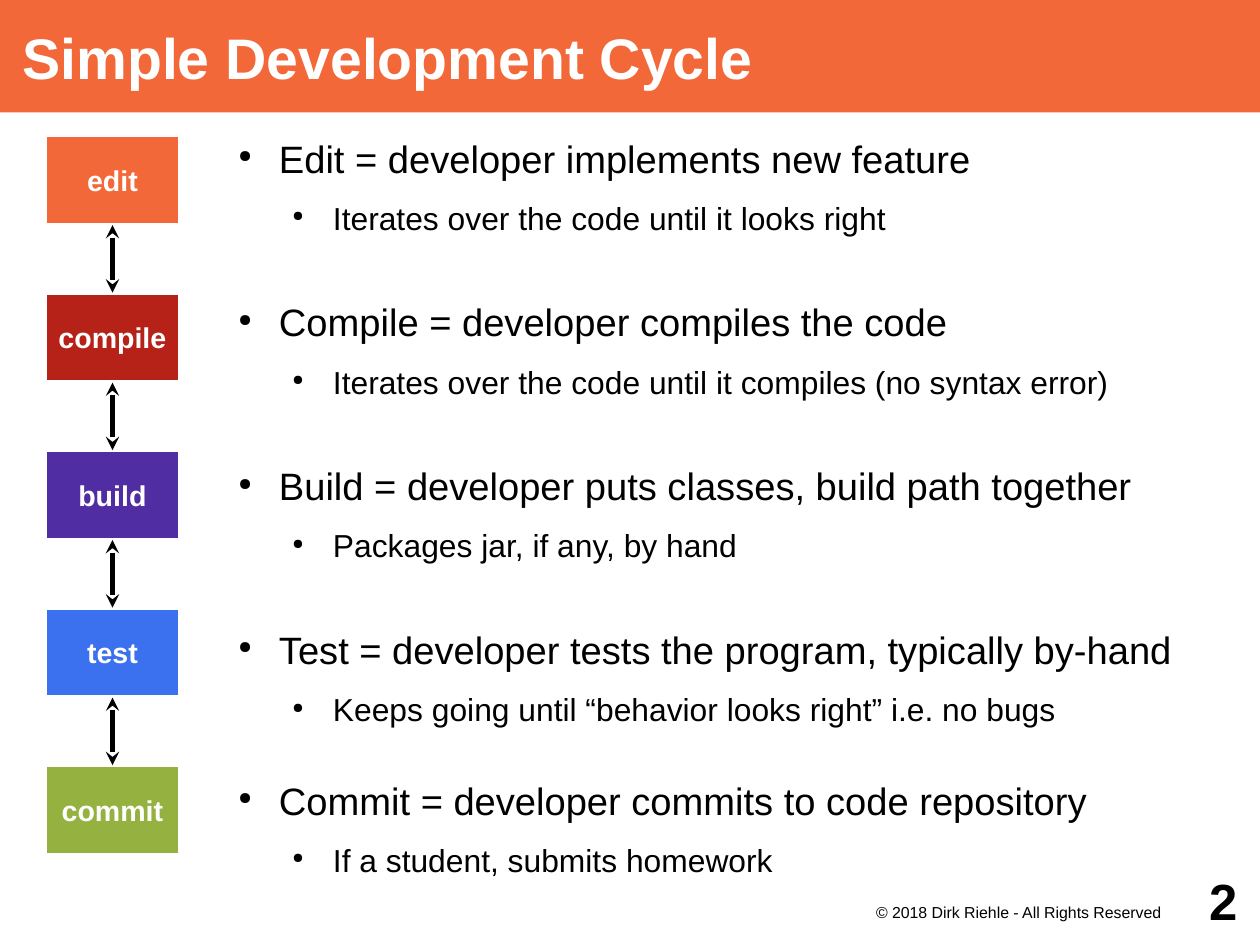
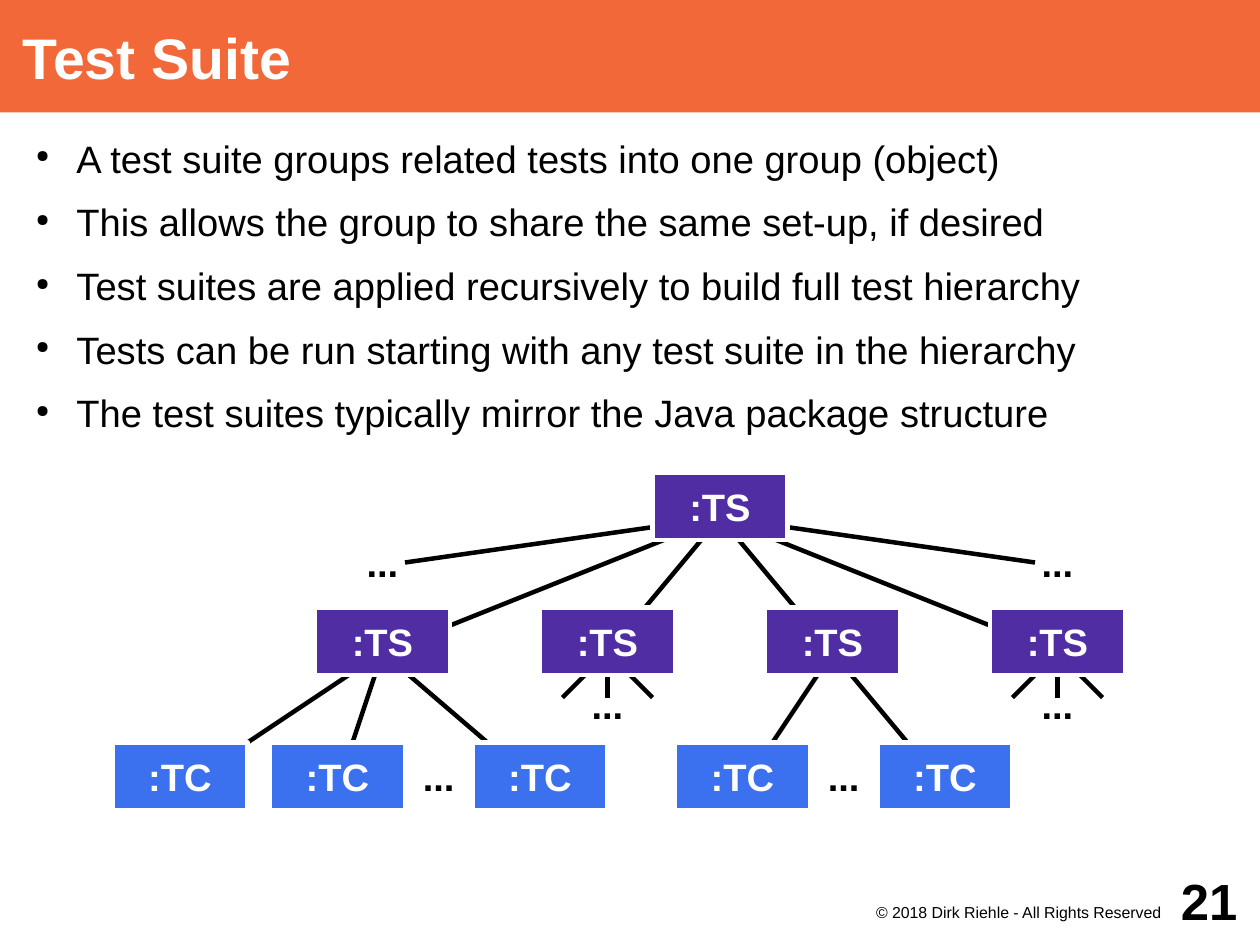
from pptx import Presentation
from pptx.dml.color import RGBColor
from pptx.enum.shapes import MSO_CONNECTOR, MSO_SHAPE
from pptx.enum.text import MSO_ANCHOR, PP_ALIGN
from pptx.oxml.ns import qn
from pptx.util import Cm, Pt
from lxml import etree

RECT = MSO_SHAPE.RECTANGLE
LINE = MSO_CONNECTOR.STRAIGHT
LEFT, MID, RIGHT = PP_ALIGN.LEFT, PP_ALIGN.CENTER, PP_ALIGN.RIGHT
TOP, CENTER = MSO_ANCHOR.TOP, MSO_ANCHOR.MIDDLE

COLS, ROWS, CELL = 56, 42, 0.5
FONT = "Arial"
ORANGE, RED, PURPLE = "F36838", "B62118", "502DA2"
BLUE, GREEN, BLACK, WHITE = "3B70EE", "95B241", "000000", "FFFFFF"
STROKE = Pt(2.83)
SIZES = (24, 20)
INDENTS = (1.2, 2.4)
HANG = 0.9
AFTER = 11.3


def grid(*cells):
    return [Cm(cell * CELL) for cell in cells]


def paint(part, color):
    part.solid()
    part.fore_color.rgb = RGBColor.from_string(color)


def style(para, text, size=24, color=BLACK, bold=False, align=LEFT):
    para.alignment = align
    run = para.add_run()
    run.text = text
    run.font.name = FONT
    run.font.size = Pt(size)
    run.font.bold = bold
    paint(run.font.fill, color)


def frame(shape, pad=(0, 0, 0, 0), anchor=TOP, wrap=True):
    body = shape.text_frame
    body.word_wrap = wrap
    body.vertical_anchor = anchor
    body.margin_left, body.margin_top, body.margin_right, body.margin_bottom = map(Cm, pad)
    return body


def label(slide, box, text, pad=(0.2,) * 4, anchor=CENTER, **look):
    shape = slide.shapes.add_textbox(*grid(*box))
    style(frame(shape, pad, anchor).paragraphs[0], text, **look)


def block(slide, box, text, fill, pad=(0.2,) * 4, edge=True, wrap=True, **look):
    shape = slide.shapes.add_shape(RECT, *grid(*box))
    shape.shadow.inherit = False
    paint(shape.fill, fill)
    if edge:
        paint(shape.line.fill, WHITE)
        shape.line.width = STROKE
    else:
        shape.line.fill.background()
    style(frame(shape, pad, CENTER, wrap).paragraphs[0], text, color=WHITE, bold=True, **look)


def link(slide, start, end, arrows=False):
    line = slide.shapes.add_connector(LINE, *grid(*start, *end))
    paint(line.line.fill, BLACK)
    line.line.width = STROKE
    if arrows:
        stroke = line.line._get_or_add_ln()
        for tip in ("a:headEnd", "a:tailEnd"):
            etree.SubElement(stroke, qn(tip), type="stealth")
    etree.SubElement(line._element.spPr, qn("a:effectLst"))


def bullets(slide, box, items):
    body = frame(slide.shapes.add_textbox(*grid(*box)))
    for index, (level, before, text) in enumerate(items):
        para = body.add_paragraph() if index else body.paragraphs[0]
        style(para, text, size=SIZES[level])
        para.line_spacing = Pt(SIZES[level] * 1.2)
        para.space_before = Pt(before)
        para.space_after = Pt(AFTER)
        props = para._p.get_or_add_pPr()
        props.set("marL", str(Cm(INDENTS[level])))
        props.set("indent", str(-Cm(HANG)))
        tint = etree.SubElement(props, qn("a:buClr"))
        etree.SubElement(tint, qn("a:srgbClr"), val=BLACK)
        etree.SubElement(props, qn("a:buSzPct"), val="45000")
        etree.SubElement(props, qn("a:buChar"), char="●")


def page(deck, title, number):
    slide = deck.slides.add_slide(deck.slide_layouts[6])
    block(slide, (0, 0, COLS, 5), title, ORANGE, pad=(0.5, 0, 0, 0), edge=False, size=36, align=LEFT)
    label(slide, (36, 40, 16, 2), "© 2018 Dirk Riehle - All Rights Reserved",
          pad=(0, 0.05, 0.2, 0), anchor=TOP, size=10, align=RIGHT)
    label(slide, (51, 38, 5, 4), number, pad=(0, 0, 0.5, 0), size=32, bold=True, align=RIGHT)
    return slide


def chain(slide, left, top, steps, wide=6, high=4, pitch=7):
    for index, (name, fill) in enumerate(steps):
        row = top + index * pitch
        block(slide, (left, row, wide, high), name, fill, wrap=False, size=18, align=MID)
        if index:
            link(slide, (left + wide / 2, row - pitch + high), (left + wide / 2, row), arrows=True)


def tree(slide, left, top, wide=6, high=3):
    def hub(col, row):
        return left + col + wide / 2, top + row + 2

    root = (24, 0)
    suites = [(9 + 10 * index, 6) for index in range(4)]
    cases = {0: (0, 7, 16), 2: (25, 34)}
    leaves = [(col, 12) for group in cases.values() for col in group]
    dots = [(13, 12, 3, 3), (31, 12, 3, 3)]

    x, y = hub(*root)
    for side in (-1, 1):
        link(slide, (x, y), (x + side * 14, y + 2))
        dots.append((x + side * 15 - 2 - left, 2, 4, 4))
    for index, suite in enumerate(suites):
        base = hub(*suite)
        link(slide, (x, y), base)
        for col in cases.get(index, ()):
            link(slide, base, hub(col, 12))
        if index not in cases:
            for shift in (-2, 0, 2):
                link(slide, base, (base[0] + shift, base[1] + 2))
            dots.append((base[0] - 2 - left, 8.6, 4, 3.4))

    for col, row, *size in dots:
        label(slide, (left + col, top + row, *size), "...", bold=True, align=MID)
    for text, fill, places in ((":TS", PURPLE, [root, *suites]), (":TC", BLUE, leaves)):
        for col, row in places:
            block(slide, (left + col, top + row, wide, high), text, fill,
                  pad=(0.25, 0.13, 0.25, 0.13), align=MID)


def cycle(deck):
    slide = page(deck, "Simple Development Cycle", "2")
    topics = [
        (0, "Edit = developer implements new feature",
         "Iterates over the code until it looks right"),
        (27.7, "Compile = developer compiles the code",
         "Iterates over the code until it compiles (no syntax error)"),
        (27.7, "Build = developer puts classes, build path together",
         "Packages jar, if any, by hand"),
        (27.7, "Test = developer tests the program, typically by-hand",
         "Keeps going until “behavior looks right” i.e. no bugs"),
        (19.6, "Commit = developer commits to code repository",
         "If a student, submits homework"),
    ]
    items = []
    for gap, head, detail in topics:
        items += [(0, gap, head), (1, 0, detail)]
    bullets(slide, (10, 6, 45, 35), items)
    chain(slide, 2, 6, [("edit", ORANGE), ("compile", RED), ("build", PURPLE),
                        ("test", BLUE), ("commit", GREEN)])


def suite(deck):
    slide = page(deck, "Test Suite", "21")
    points = [
        "A test suite groups related tests into one group (object)",
        "This allows the group to share the same set-up, if desired",
        "Test suites are applied recursively to build full test hierarchy",
        "Tests can be run starting with any test suite in the hierarchy",
        "The test suites typically mirror the Java package structure",
    ]
    bullets(slide, (1, 6, 54, 30), [(0, 0, point) for point in points])
    tree(slide, 5, 21)


deck = Presentation()
deck.slide_width, deck.slide_height = grid(COLS, ROWS)
cycle(deck)
suite(deck)
deck.save("out.pptx")
